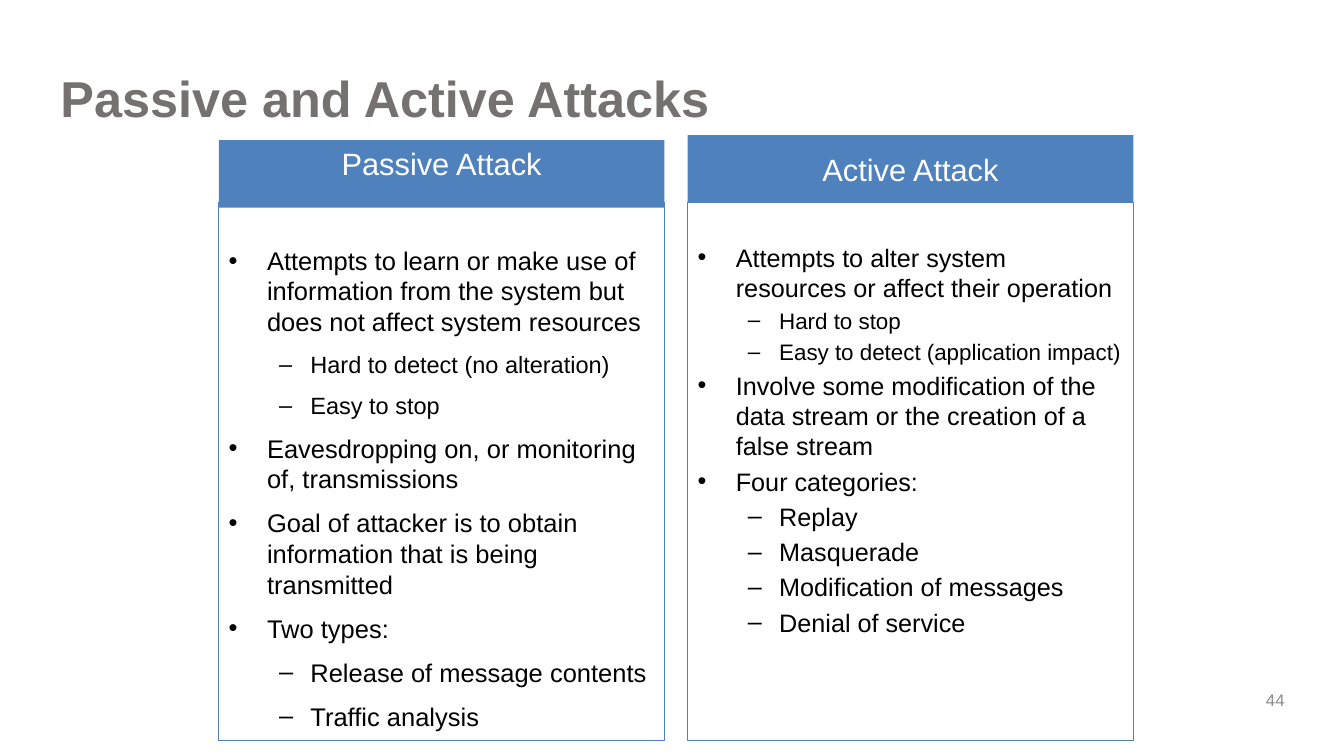
import dataclasses

import lxml.etree
import pptx
import pptx.dml.color
import pptx.enum.shapes
import pptx.enum.text
import pptx.oxml.ns
import pptx.util

SCALE = 9144  # EMU in one px, 100 px to the inch
ALIGN = pptx.enum.text.PP_ALIGN
ANCHOR = pptx.enum.text.MSO_ANCHOR


@dataclasses.dataclass(frozen=True)
class Theme:
    face: str = "Arial"
    blue: str = "4F81BD"
    white: str = "FFFFFF"
    black: str = "000000"
    grey: str = "767171"
    pale: str = "8C8C8C"
    title: float = 36
    head: float = 22
    page: float = 12
    edge: float = 0.75


def px(count):
    return pptx.util.Emu(count * SCALE)


def rgb(code):
    return pptx.dml.color.RGBColor.from_string(code)


def mark(para, level):
    """Give a paragraph the bullet and hanging indent of its level."""
    left, hang, sign = ((38, 38, "•"), (81, 31, "–"))[level]
    para.level = level
    props = para._p.get_or_add_pPr()
    props.set("marL", str(px(left)))
    props.set("indent", str(px(-hang)))
    tag = pptx.oxml.ns.qn
    lxml.etree.SubElement(props, tag("a:buFont")).set("typeface", "Arial")
    lxml.etree.SubElement(props, tag("a:buChar")).set("char", sign)


def write(para, text, *, size, color, face, bold=False, align=ALIGN.LEFT,
          level=None, before=0, after=0):
    if level is not None:
        mark(para, level)
    para.text = text
    para.alignment = align
    para.line_spacing = 1.0
    para.space_before = pptx.util.Pt(before)
    para.space_after = pptx.util.Pt(after)
    for font in (para.font, *(run.font for run in para.runs)):
        font.name = face
        font.size = pptx.util.Pt(size)
        font.bold = bold
        font.color.rgb = rgb(color)


class Deck:
    def __init__(self, theme):
        self.theme = theme
        self.file = pptx.Presentation()
        self.file.slide_width = px(1333)
        self.file.slide_height = px(750)
        self.slide = self.file.slides.add_slide(self.file.slide_layouts[5])

    def frame(self, shape, anchor, top=5):
        frame = shape.text_frame
        frame.word_wrap = True
        frame.auto_size = pptx.enum.text.MSO_AUTO_SIZE.NONE
        frame.vertical_anchor = anchor
        frame.margin_left = frame.margin_right = px(10)
        frame.margin_top, frame.margin_bottom = px(top), px(5)
        return frame

    def title(self, text, box):
        shape = self.slide.shapes.title
        shape.left, shape.top, shape.width, shape.height = map(px, box)
        para = self.frame(shape, ANCHOR.TOP).paragraphs[0]
        write(para, text, size=self.theme.title, color=self.theme.grey,
              face=self.theme.face, bold=True)

    def page(self, text, box):
        shape = self.slide.shapes.add_textbox(*map(px, box))
        para = self.frame(shape, ANCHOR.MIDDLE).paragraphs[0]
        write(para, text, size=self.theme.page, color=self.theme.pale,
              face=self.theme.face, align=ALIGN.RIGHT)

    def rect(self, box):
        kind = pptx.enum.shapes.MSO_SHAPE.RECTANGLE
        shape = self.slide.shapes.add_shape(kind, *map(px, box))
        shape.shadow.inherit = False
        return shape

    def head(self, text, box, anchor):
        shape = self.rect(box)
        shape.fill.solid()
        shape.fill.fore_color.rgb = rgb(self.theme.blue)
        shape.line.fill.background()
        para = self.frame(shape, anchor).paragraphs[0]
        write(para, text, size=self.theme.head, color=self.theme.white,
              face=self.theme.face, align=ALIGN.CENTER)

    def body(self, items, box, top, after):
        """Draw an outlined box of (level, size, text) bullets."""
        shape = self.rect(box)
        shape.fill.background()
        shape.line.color.rgb = rgb(self.theme.blue)
        shape.line.width = pptx.util.Pt(self.theme.edge)
        frame = self.frame(shape, ANCHOR.TOP, top)
        for spot, (level, size, text) in enumerate(items):
            para = frame.add_paragraph() if spot else frame.paragraphs[0]
            write(para, text, size=size, color=self.theme.black,
                  face=self.theme.face, level=level,
                  before=size * 0.2 if spot else 0, after=after)


PASSIVE = [
    (0, 18.2, "Attempts to learn or make use of information from the system "
              "but does not affect system resources"),
    (1, 16.8, "Hard to detect (no alteration)"),
    (1, 16.8, "Easy to stop"),
    (0, 18.2, "Eavesdropping on, or monitoring of, transmissions"),
    (0, 18.2, "Goal of attacker is to obtain information that is being "
              "transmitted"),
    (0, 18.2, "Two types:"),
    (1, 18.2, "Release of message contents"),
    (1, 18.2, "Traffic analysis"),
]
ACTIVE = [
    (0, 18, "Attempts to alter system resources or affect their operation"),
    (1, 16, "Hard to stop"),
    (1, 16, "Easy to detect (application impact)"),
    (0, 18, "Involve some modification of the data stream or the creation "
            "of a false stream"),
    (0, 18, "Four categories:"),
    (1, 18, "Replay"),
    (1, 18, "Masquerade"),
    (1, 18, "Modification of messages"),
    (1, 18, "Denial of service"),
]


def main():
    deck = Deck(Theme())
    deck.page("44", (990, 679, 294, 30))
    deck.title("Passive and Active Attacks", (50, 62, 1233, 81))
    wide = 442
    cols = [
        ("Passive Attack", 217, 139, ANCHOR.TOP, PASSIVE, 42, 6),
        ("Active Attack", 682, 134, ANCHOR.MIDDLE, ACTIVE, 39, 0),
    ]
    for name, left, high, anchor, *_ in cols:
        deck.head(name, (left, high, wide, 67), anchor)
    for _, left, _, _, items, top, after in cols:
        deck.body(items, (left, 201, wide, 534), top, after)
    deck.file.save("out.pptx")


if __name__ == "__main__":
    main()
